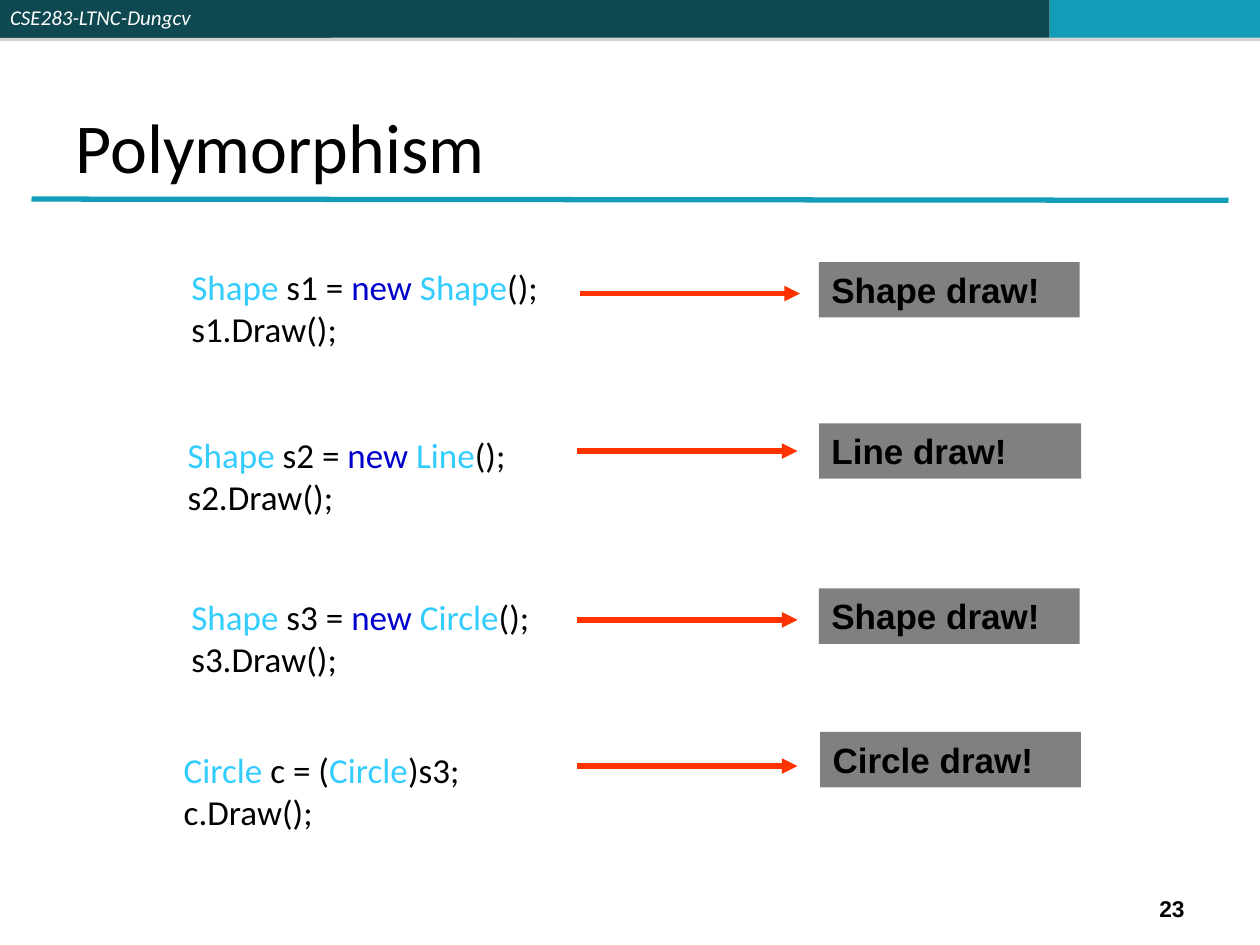
from lxml import etree
from pptx import Presentation
from pptx.dml.color import RGBColor
from pptx.enum import shapes, text
from pptx.oxml import ns
from pptx.util import Inches, Pt

HUES = {"dark": "0E4851", "teal": "139CB7", "white": "FFFFFF", "black": "000000",
        "type": "33CCFF", "key": "0000CC", "gray": "808080", "red": "FF3300"}

# Each row: code box, code runs, call, output box, output, arrow start
ROWS = [
    ((1.42, 2.06, 2.95, 0.77),
     [("Shape", "type"), (" s1 = ", "black"), ("new ", "key"), ("Shape", "type"), ("();", "black")],
     "s1.Draw();", (6.5, 2.08, 2.07, 0.44), "Shape draw!", (4.6, 2.33)),
    ((1.39, 3.39, 2.72, 0.77),
     [("Shape", "type"), (" s2 = ", "black"), ("new ", "key"), ("Line", "type"), ("();", "black")],
     "s2.Draw();", (6.5, 3.36, 2.08, 0.44), "Line draw!", (4.58, 3.58)),
    ((1.42, 4.68, 2.89, 0.77),
     [("Shape", "type"), (" s3 = ", "black"), ("new ", "key"), ("Circle", "type"), ("();", "black")],
     "s3.Draw();", (6.5, 4.67, 2.07, 0.44), "Shape draw!", (4.58, 4.92)),
    ((1.36, 5.89, 2.39, 0.77),
     [("Circle", "type"), (" c = (", "black"), ("Circle", "type"), (")s3;", "black")],
     "c.Draw();", (6.51, 5.81, 2.07, 0.44), "Circle draw!", (4.58, 6.08)),
]


def rgb(name):
    return RGBColor.from_string(HUES[name])


def add_sub(node, tag, **attrs):
    return etree.SubElement(node, ns.qn(tag), attrs)


def style(para, size, face="Calibri", hue=None, bold=False, italic=False):
    font = para.font
    font.size, font.name, font.bold, font.italic = Pt(size), face, bold, italic
    if hue:
        font.color.rgb = rgb(hue)


def add_rect(slide, box, hue):
    rect = slide.shapes.add_shape(shapes.MSO_SHAPE.RECTANGLE, *map(Inches, box))
    rect.shadow.inherit = False
    rect.fill.solid()
    rect.fill.fore_color.rgb = rgb(hue)
    rect.line.fill.background()
    return rect


def add_label(shape, words, anchor, align=text.PP_ALIGN.LEFT, **look):
    frame = shape.text_frame
    frame.word_wrap = True
    frame.vertical_anchor = anchor
    para = frame.paragraphs[0]
    para.text, para.alignment = words, align
    style(para, **look)
    return frame


def add_line(slide, start, end, hue):
    line = slide.shapes.add_connector(shapes.MSO_CONNECTOR.STRAIGHT,
                                      *map(Inches, start + end))
    line.line.color.rgb = rgb(hue)
    line.line.width = Pt(3)
    add_sub(line._element.spPr, "a:effectLst")
    return line


def add_header(slide, left, top, height):
    for width, hue in ((4.08, "dark"), (4.25, "dark"), (1.67, "teal")):
        bar = add_rect(slide, (left, top, width, height), hue)
        effects = bar._element.spPr.find(ns.qn("a:effectLst"))
        shadow = add_sub(effects, "a:outerShdw", dist=str(Pt(1.8)), dir="5400000")
        tint = add_sub(shadow, "a:srgbClr", val=HUES["gray"])
        add_sub(tint, "a:alpha", val="35000")
        left += width
    # Course name over the first bar
    name = add_rect(slide, (0, top, 2.63, height), "dark")
    frame = add_label(name, "CSE283-LTNC-Dungcv", text.MSO_ANCHOR.TOP,
                      size=12, hue="white", italic=True)
    frame.margin_left = frame.margin_right = Inches(0.08)
    frame.margin_top = frame.margin_bottom = Inches(0.04)


def add_title(slide, left, top, width, height):
    box = slide.shapes.add_textbox(*map(Inches, (left, top, width, height)))
    add_label(box, "Polymorphism", text.MSO_ANCHOR.BOTTOM, size=40, hue="black")
    base = top + height
    add_line(slide, (left - 0.25, base + 0.04), (left + width + 0.26, base + 0.05), "teal")


def add_code(slide, box, runs, call):
    frame = slide.shapes.add_textbox(*map(Inches, box)).text_frame
    frame.word_wrap = False
    first, second = frame.paragraphs[0], frame.add_paragraph()
    for words, hue in runs:
        run = first.add_run()
        run.text = words
        run.font.color.rgb = rgb(hue)
    second.text = call
    style(first, 20)
    style(second, 20, hue="black")


def add_row(slide, code, runs, call, out, words, start):
    add_code(slide, code, runs, call)
    add_label(add_rect(slide, out, "gray"), words, text.MSO_ANCHOR.TOP,
              size=20, face="Arial", hue="black", bold=True)
    left, top = start
    arrow = add_line(slide, start, (left + 1.75, top), "red")
    add_sub(arrow.line._get_or_add_ln(), "a:tailEnd", type="triangle")


def add_number(slide, *box):
    shape = slide.shapes.add_textbox(*map(Inches, box))
    add_label(shape, "23", text.MSO_ANCHOR.MIDDLE, text.PP_ALIGN.RIGHT,
              size=13, face="Arial", hue="black", bold=True)


def main():
    deck = Presentation()
    deck.slide_width, deck.slide_height = Inches(10), Inches(7.5)
    slide = deck.slides.add_slide(deck.slide_layouts[6])
    add_header(slide, 0, 0, 0.3)
    add_title(slide, 0.5, 0.11, 8.99, 1.43)
    for row in ROWS:
        add_row(slide, *row)
    add_number(slide, 7.17, 7.06, 2.33, 0.3)
    deck.save("out.pptx")


if __name__ == "__main__":
    main()
